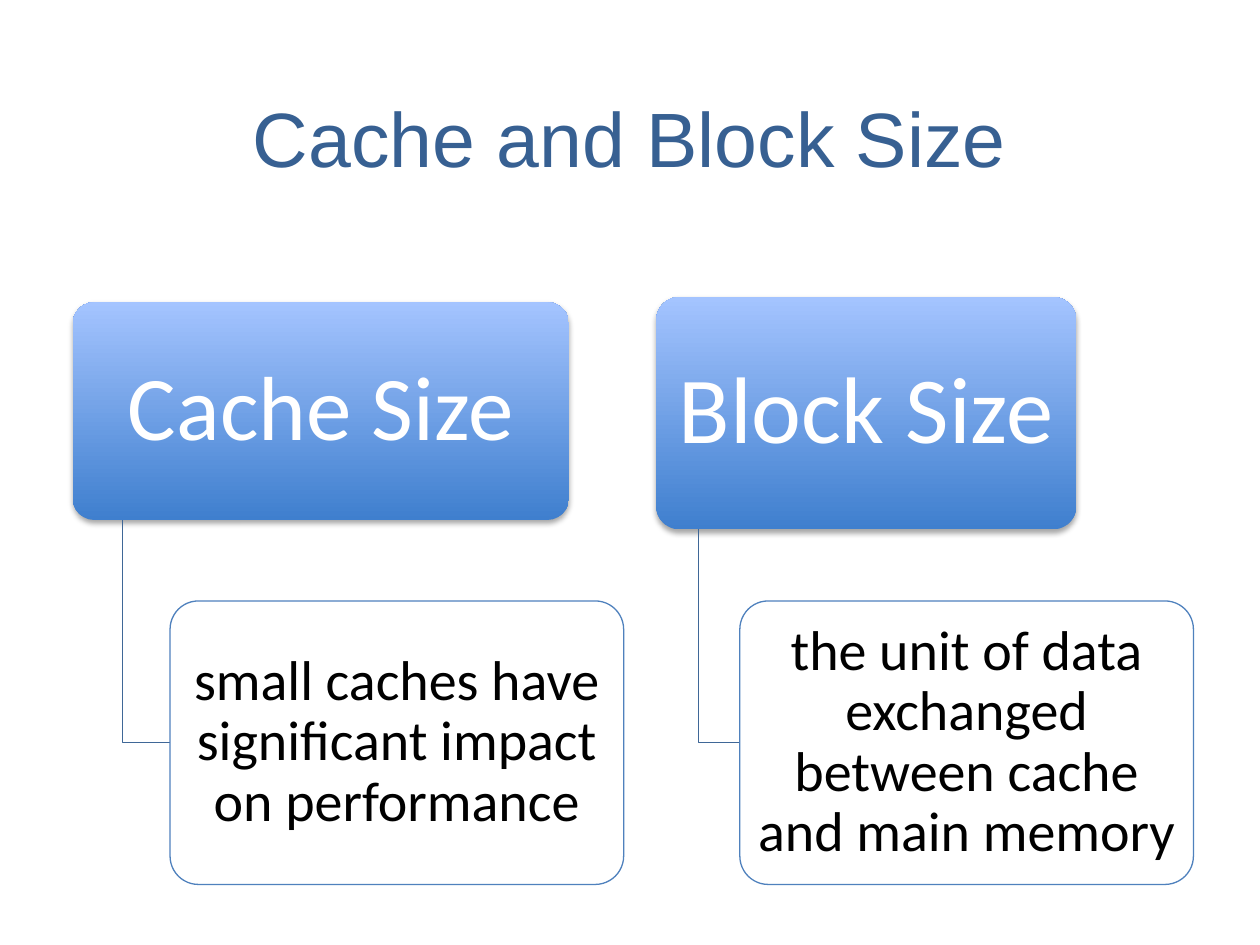
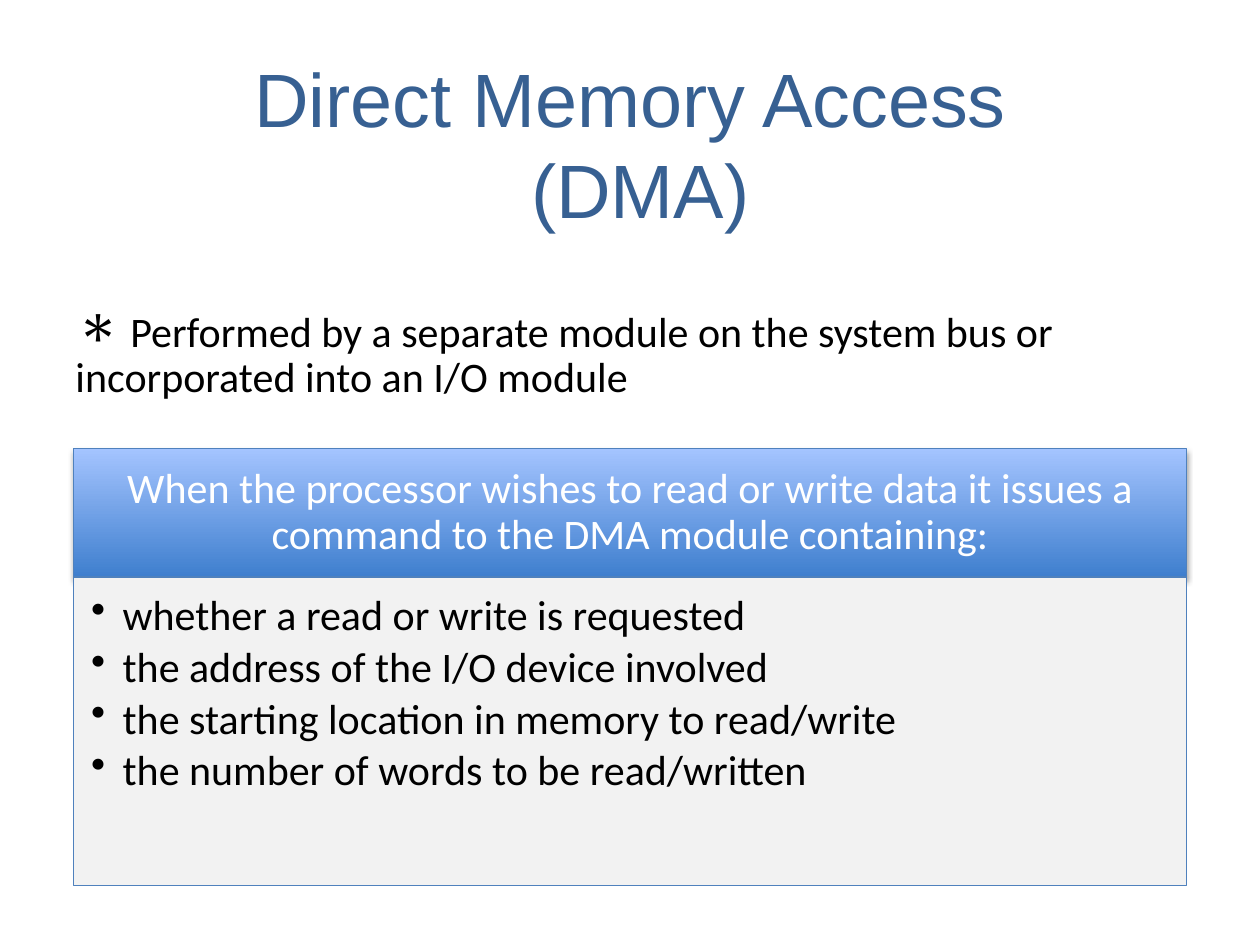
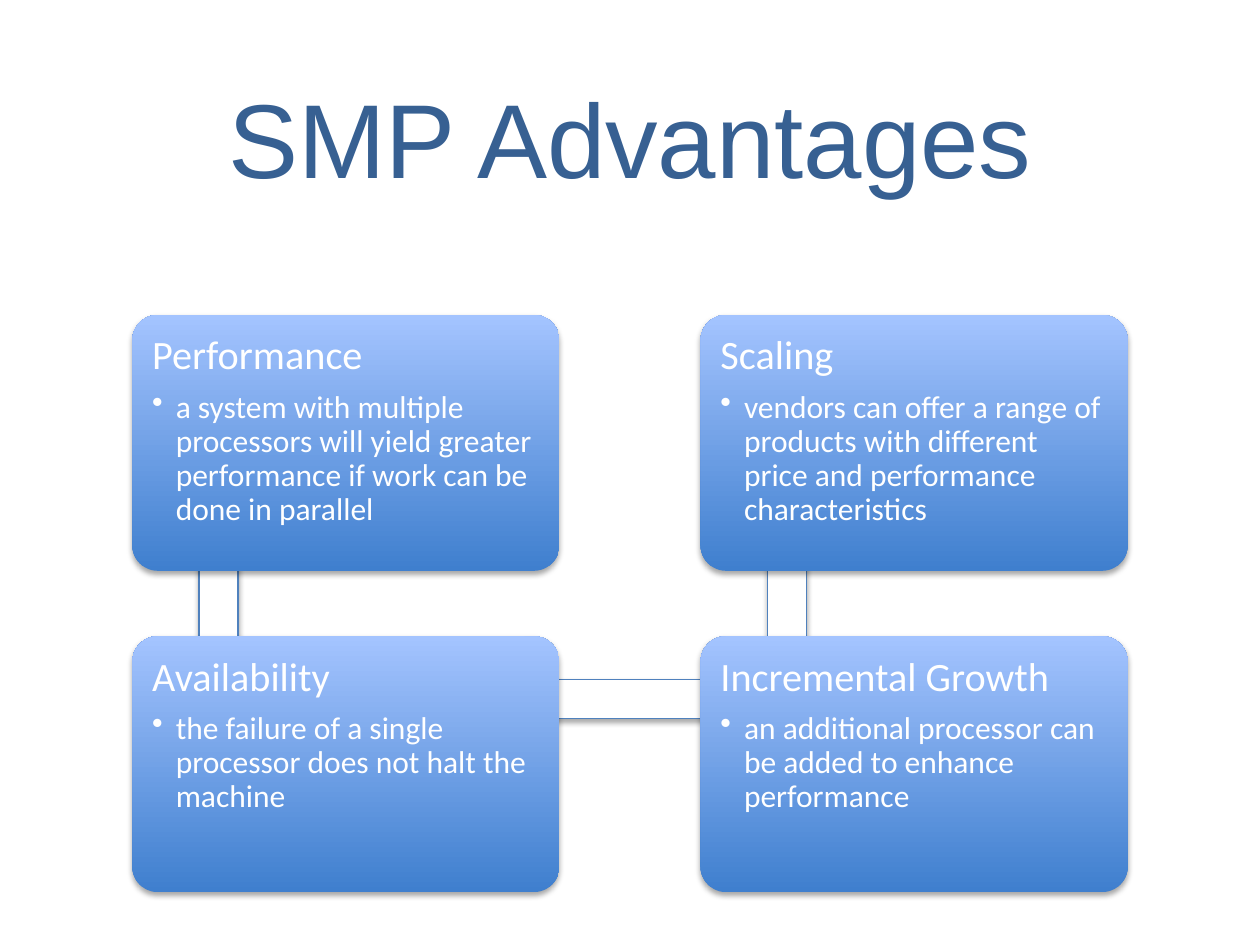
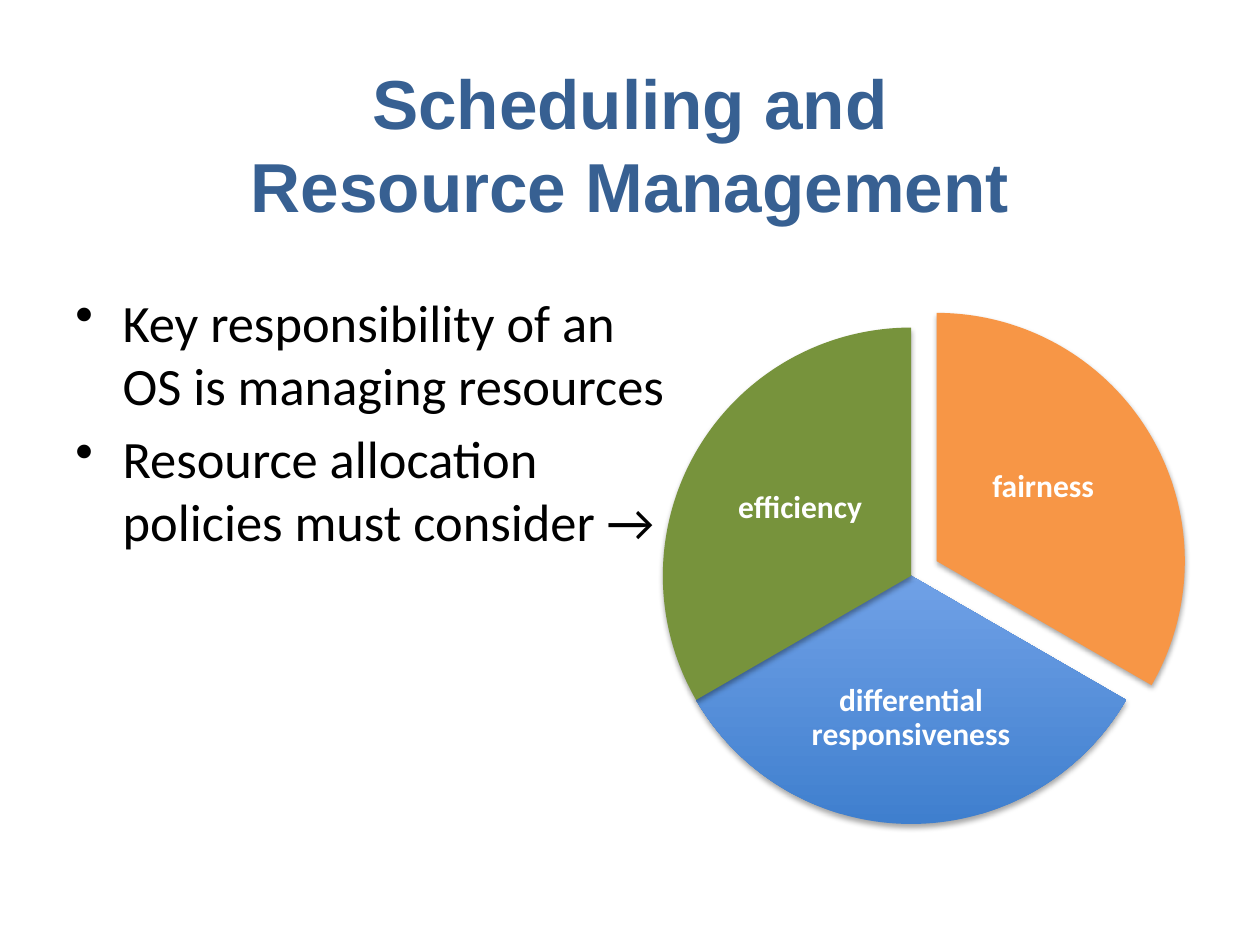
import pptx
import pptx.util
import pptx.dml.color
import pptx.enum.shapes
import pptx.enum.text
import pptx.oxml
import pptx.oxml.ns

Pt = pptx.util.Pt
SHAPE = pptx.enum.shapes.MSO_SHAPE
ALIGN = pptx.enum.text.PP_ALIGN
ANCHOR = pptx.enum.text.MSO_ANCHOR

INK = {
    "title": "376092",
    "text": "000000",
    "white": "FFFFFF",
    "deep": "3F7FCE",
    "light": "A4C4FF",
    "edge": "4F81BD",
    "link": "3F6797",
    "panel": "F2F2F2",
    "orange": "F79646",
    "green": "77933C",
}
WIDE = (36, 36.7, 648, 90)
SLIM = (51.8, 36, 616.3, 84.2)


def tint(name):
    return pptx.dml.color.RGBColor.from_string(INK[name])


def lengths(values):
    return [Pt(value) for value in values]


def shade(shape):
    effects = pptx.oxml.parse_xml(
        f'<a:effectLst {pptx.oxml.ns.nsdecls("a")}>'
        '<a:outerShdw blurRad="40000" dist="23000" dir="5400000" rotWithShape="0">'
        '<a:srgbClr val="000000"><a:alpha val="35000"/></a:srgbClr>'
        '</a:outerShdw></a:effectLst>')
    props = shape._element.spPr
    for old in props.findall(pptx.oxml.ns.qn("a:effectLst")):
        props.remove(old)
    props.append(effects)


def outline(shape, color):
    if color:
        shape.line.color.rgb = tint(color)
        shape.line.width = Pt(0.75)
    else:
        shape.line.fill.background()


def plate(slide, kind, box, fill="grad", line=None, shadow=True, turns=()):
    shape = slide.shapes.add_shape(kind, *lengths(box))
    for index, value in enumerate(turns):
        shape.adjustments[index] = value
    if fill == "grad":
        shape.fill.gradient()
        shape.fill.gradient_angle = 90
        for stop, color in zip(shape.fill.gradient_stops, ("deep", "light")):
            stop.color.rgb = tint(color)
    else:
        shape.fill.solid()
        shape.fill.fore_color.rgb = tint(fill)
    outline(shape, line)
    shape.shadow.inherit = False
    if shadow:
        shade(shape)
    return shape


def write(para, text, size, color, bold=False, font="Calibri"):
    for index, line in enumerate(text.split("\n")):
        if index:
            para.add_line_break()
        run = para.add_run()
        run.text = line
        run.font.size = Pt(size)
        run.font.name = font
        run.font.bold = bold
        run.font.color.rgb = tint(color)


def bullet(para, hang=0, mark="•", scale=100):
    props = para._p.get_or_add_pPr()
    props.set("marL", str(Pt(hang)))
    props.set("indent", str(-Pt(hang)))
    for tag, key, value in (("buSzPct", "val", scale * 1000), ("buChar", "char", mark)):
        item = pptx.oxml.parse_xml(f'<a:{tag} {pptx.oxml.ns.nsdecls("a")} {key}="{value}"/>')
        props.append(item)


def frame(slide, box, insets=(7.2, 3.6, 7.2, 3.6), middle=False):
    area = slide.shapes.add_textbox(*lengths(box)).text_frame
    area.word_wrap = True
    area.margin_left, area.margin_top, area.margin_right, area.margin_bottom = lengths(insets)
    area.vertical_anchor = ANCHOR.MIDDLE if middle else ANCHOR.TOP
    return area


def line_up(area, index, spacing=0.9, align=ALIGN.LEFT):
    para = area.add_paragraph() if index else area.paragraphs[0]
    para.line_spacing = spacing
    para.alignment = align
    return para


def label(slide, box, text, size, color="white", insets=(2.2,) * 4, bold=False):
    area = frame(slide, box, insets, middle=True)
    write(line_up(area, 0, align=ALIGN.CENTER), text, size, color, bold)


def inner(box):
    left, top, width, height = box
    pad = height * 0.0293
    return left + pad, top + pad, width - 2 * pad, height - 2 * pad


def start(deck, text, size, box, bold=False):
    slide = deck.slides.add_slide(deck.slide_layouts[5])
    title = slide.shapes.title
    title.left, title.top, title.width, title.height = lengths(box)
    area = title.text_frame
    area.auto_size = pptx.enum.text.MSO_AUTO_SIZE.NONE
    area.word_wrap = True
    area.vertical_anchor = ANCHOR.MIDDLE
    area.paragraphs[0].alignment = ALIGN.CENTER
    write(area.paragraphs[0], text, size, "title", bold, "Arial")
    return slide


def elbow(slide, points):
    first, *rest = [lengths(point) for point in points]
    path = slide.shapes.build_freeform(*first)
    path.add_line_segments(rest, close=False)
    shape = path.convert_to_shape()
    shape.fill.background()
    outline(shape, "link")
    shape.shadow.inherit = False


def branch(slide, head, name, size, left, note):
    box = (left, 343.4, 259.2, 162)
    stem = head[0] + head[2] / 10
    middle = box[1] + box[3] / 2
    plate(slide, SHAPE.ROUNDED_RECTANGLE, head, turns=(0.1,))
    label(slide, inner(head), name, size, insets=(7.9, 5, 7.9, 5))
    elbow(slide, [(stem, head[1] + head[3]), (stem, middle), (left, middle)])
    plate(slide, SHAPE.ROUNDED_RECTANGLE, box, "white", "edge", False, (0.1,))
    label(slide, inner(box), note, 32, "text", (5, 2.9, 5, 2.9))


def card(slide, col, row, name, note):
    box = (75.6 + col * 324.7, 180 + row * 183.6, 244.1, 146.2)
    plate(slide, SHAPE.ROUNDED_RECTANGLE, box, turns=(0.1,))
    area = frame(slide, inner(box), (7.2,) * 4)
    head = line_up(area, 0)
    head.space_after = Pt(7)
    write(head, name, 23, "white")
    item = line_up(area, 1)
    bullet(item, 13.5)
    write(item, note, 18, "white")


def bar(slide, box, turn=0):
    plate(slide, SHAPE.RECTANGLE, box, "white", "edge").rotation = turn


def slice_up(slide, spot, begin, end, fill, text, box):
    turns = [angle * 0.6 for angle in (begin, end)]
    plate(slide, SHAPE.PIE, (*spot, 283.7, 283.7), fill, turns=turns)
    label(slide, box, text, 18, bold=True)


def cache(deck):
    slide = start(deck, "Cache and Block Size", 44, SLIM)
    branch(slide, (41.5, 172.7, 283.7, 124.5), "Cache Size", 52, 97.2,
           "small caches have significant impact on performance")
    branch(slide, (375, 169.7, 240, 132.8), "Block Size", 54, 422.8,
           "the unit of data exchanged between cache and main memory")


def direct(deck):
    slide = start(deck, "Direct Memory Access\n (DMA)", 43.2, WIDE)
    head = (42, 256.3, 636, 73.4)
    body = (42, 329.7, 636, 176.2)
    plate(slide, SHAPE.RECTANGLE, head, line="edge")
    label(slide, head, "When the processor wishes to read or write data it issues a "
          "command to the DMA module containing:", 24, insets=(13.7, 7.9, 13.7, 7.9))
    plate(slide, SHAPE.RECTANGLE, body, "panel", "edge", False)
    area = frame(slide, body, (10.1, 10.1, 13.7, 15.1))
    for index, text in enumerate((
            "whether a read or write is requested",
            "the address of the I/O device involved",
            "the starting location in memory to read/write",
            "the number of words to be read/written")):
        item = line_up(area, index)
        item.space_after = Pt(3.6)
        bullet(item, 18)
        write(item, text, 24, "text")
    intro = line_up(frame(slide, (36, 174.2, 636, 59.8)), 0)
    bullet(intro, mark="∗", scale=150)
    write(intro, " Performed by a separate module on the system bus or "
          "incorporated into an I/O module", 24, "text")


def gains(deck):
    slide = start(deck, "SMP Advantages", 60, SLIM)
    bar(slide, (33.8, 296.6, 182.2, 22.3), 90)
    card(slide, 0, 0, "Performance", "a system with multiple processors will yield "
         "greater performance if work can be done in parallel")
    bar(slide, (125.3, 388.1, 324, 22.3))
    card(slide, 0, 1, "Availability",
         "the failure of a single processor does not halt the machine")
    bar(slide, (358.5, 296.6, 182.2, 22.3), 270)
    card(slide, 1, 1, "Incremental Growth",
         "an additional processor can be added to enhance performance")
    card(slide, 1, 0, "Scaling", "vendors can offer a range of products with "
         "different price and performance characteristics")


def manage(deck):
    slide = start(deck, "Scheduling and\nResource Management", 39.6, WIDE, True)
    area = frame(slide, (36, 162, 351.4, 318.2))
    for index, text in enumerate((
            "Key responsibility of an OS is managing resources",
            "Resource allocation policies must consider →")):
        item = line_up(area, index, 1)
        if index:
            item.space_before = Pt(6)
        bullet(item, 27)
        write(item, text, 30, "text")
    hub = (378.8, 187.2)
    slice_up(slide, (393.4, 178.8), 270, 30, "orange", "fairness",
             (547.9, 231.1, 96.5, 94.3))
    slice_up(slide, hub, 30, 150, "grad", "differential responsiveness",
             (456.5, 366.5, 128.2, 87.8))
    slice_up(slide, hub, 150, 270, "green", "efficiency",
             (409, 243.4, 96.5, 94.3))


def main():
    deck = pptx.Presentation()
    deck.slide_width, deck.slide_height = Pt(720), Pt(540)
    for build in (cache, direct, gains, manage):
        build(deck)
    deck.save("out.pptx")


if __name__ == "__main__":
    main()
